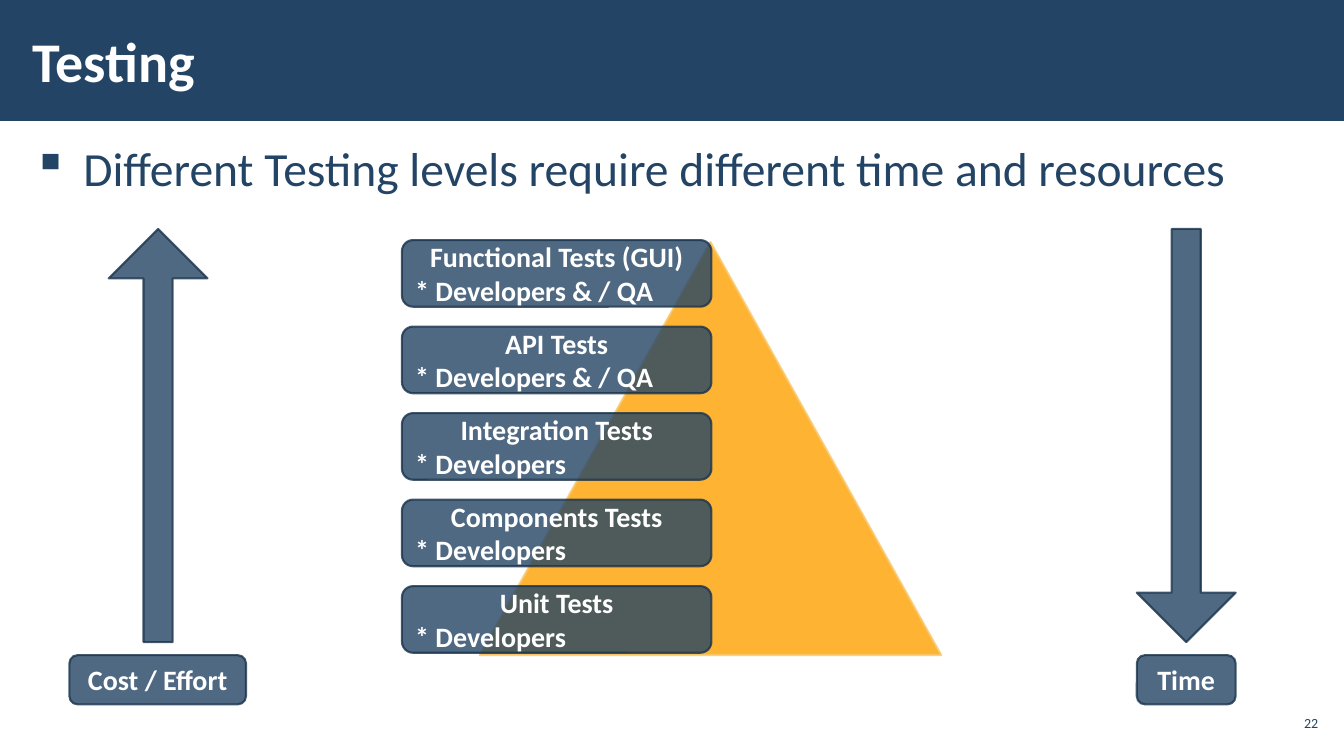
"""Build a slide on testing levels with their cost and time."""
from lxml import etree
from pptx import Presentation
from pptx.dml.color import RGBColor
from pptx.enum import shapes, text
from pptx.oxml import ns
from pptx.util import Cm, Pt

COLORS = {"navy": "234465", "edge": "1A334C", "amber": "FFA000",
          "amber_edge": "F7C86D", "white": "FFFFFF"}
KIND = shapes.MSO_SHAPE
ALIGN = text.PP_ALIGN


def add_glass_shape(kind, left, top, width, height, fill="navy", edge="edge"):
    shape = slide.shapes.add_shape(kind, Cm(left), Cm(top), Cm(width), Cm(height))
    shape.shadow.inherit = False
    shape.line.width = Pt(1.5)
    shape.fill.solid()
    for paint, color in ((shape.fill, fill), (shape.line.fill, edge)):
        paint.solid()
        paint.fore_color.rgb = RGBColor.from_string(COLORS[color])
    for color_element in shape._element.spPr.iter(ns.qn("a:srgbClr")):
        etree.SubElement(color_element, ns.qn("a:alpha"), val="80000")
    return shape


def write_text(shape, lines, size, color="white", bold=False, inset=(0.25, 0.13),
               anchor=text.MSO_ANCHOR.MIDDLE):
    frame = shape.text_frame
    frame.word_wrap = True
    frame.auto_size = text.MSO_AUTO_SIZE.NONE
    frame.vertical_anchor = anchor
    frame.margin_left = frame.margin_right = Cm(inset[0])
    frame.margin_top = frame.margin_bottom = Cm(inset[1])
    frame.text = "\n".join(content for content, alignment in lines)
    for paragraph, (content, alignment) in zip(frame.paragraphs, lines):
        paragraph.alignment = alignment
        paragraph.font.name = "Calibri"
        paragraph.font.size = Pt(size)
        paragraph.font.bold = bold
        paragraph.font.color.rgb = RGBColor.from_string(COLORS[color])
    return frame.paragraphs[0]


presentation = Presentation()
presentation.slide_width = Cm(33.87)
presentation.slide_height = Cm(19.05)
slide = presentation.slides.add_slide(presentation.slide_layouts[5])

banner = slide.shapes.add_shape(KIND.RECTANGLE, 0, 0, presentation.slide_width, Cm(3.05))
banner.shadow.inherit = False
banner.fill.solid()
banner.fill.fore_color.rgb = RGBColor.from_string(COLORS["navy"])
banner.line.fill.background()

title = slide.shapes.title
title.left, title.top, title.width, title.height = Cm(0.53), Cm(0.28), Cm(26.42), Cm(2.46)
write_text(title, [("Testing", ALIGN.LEFT)], 40, bold=True, inset=(0.3, 0.1))
banner._element.addnext(title._element)

body = slide.shapes.add_textbox(Cm(0.53), Cm(3.33), Cm(32.82), Cm(14.45))
bullet = write_text(
    body, [("Different Testing levels require different time and resources", ALIGN.LEFT)],
    34, "navy", inset=(0.3, 0.1), anchor=text.MSO_ANCHOR.TOP)
bullet.line_spacing = 1.05
bullet.space_before = bullet.space_after = Pt(6)
properties = bullet._p.get_or_add_pPr()
properties.set("marL", str(Cm(1.27)))
properties.set("indent", str(-Cm(1.27)))
bullet_mark = etree.Element(ns.qn("a:buChar"), char="▪")
properties.find(ns.qn("a:spcAft")).addnext(bullet_mark)

page_number = slide.shapes.add_textbox(Cm(32.13), Cm(17.78), Cm(1.19), Cm(0.86))
write_text(page_number, [("22", ALIGN.RIGHT)], 10, "navy", inset=(0.1, 0.1))

add_glass_shape(KIND.ISOSCELES_TRIANGLE, 12.09, 6.1, 11.63, 10.41, "amber", "amber_edge")

levels = [("Functional Tests (GUI)", "* Developers & / QA"),
          ("API Tests", "* Developers & / QA"),
          ("Integration Tests", "* Developers"),
          ("Components Tests", "* Developers"),
          ("Unit Tests", "* Developers")]
for row, (level, testers) in enumerate(levels):
    box = add_glass_shape(KIND.ROUNDED_RECTANGLE, 10.13, 6.05 + 2.18 * row, 7.8, 1.68)
    write_text(box, [(level, ALIGN.CENTER), (testers, ALIGN.LEFT)], 20, bold=True)

scales = [("Cost / Effort", KIND.UP_ARROW, 2.74, 1.75, 4.45),
          ("Time", KIND.DOWN_ARROW, 28.65, 28.65, 2.49)]
for label, arrow_kind, arrow_left, label_left, label_width in scales:
    arrow = add_glass_shape(arrow_kind, arrow_left, 5.77, 2.49, 10.41)
    arrow.adjustments[0] = 0.295
    arrow.adjustments[1] = 0.5
    label_box = add_glass_shape(KIND.ROUNDED_RECTANGLE, label_left, 16.51, label_width, 1.24)
    write_text(label_box, [(label, ALIGN.CENTER)], 20, bold=True)

presentation.save("out.pptx")
